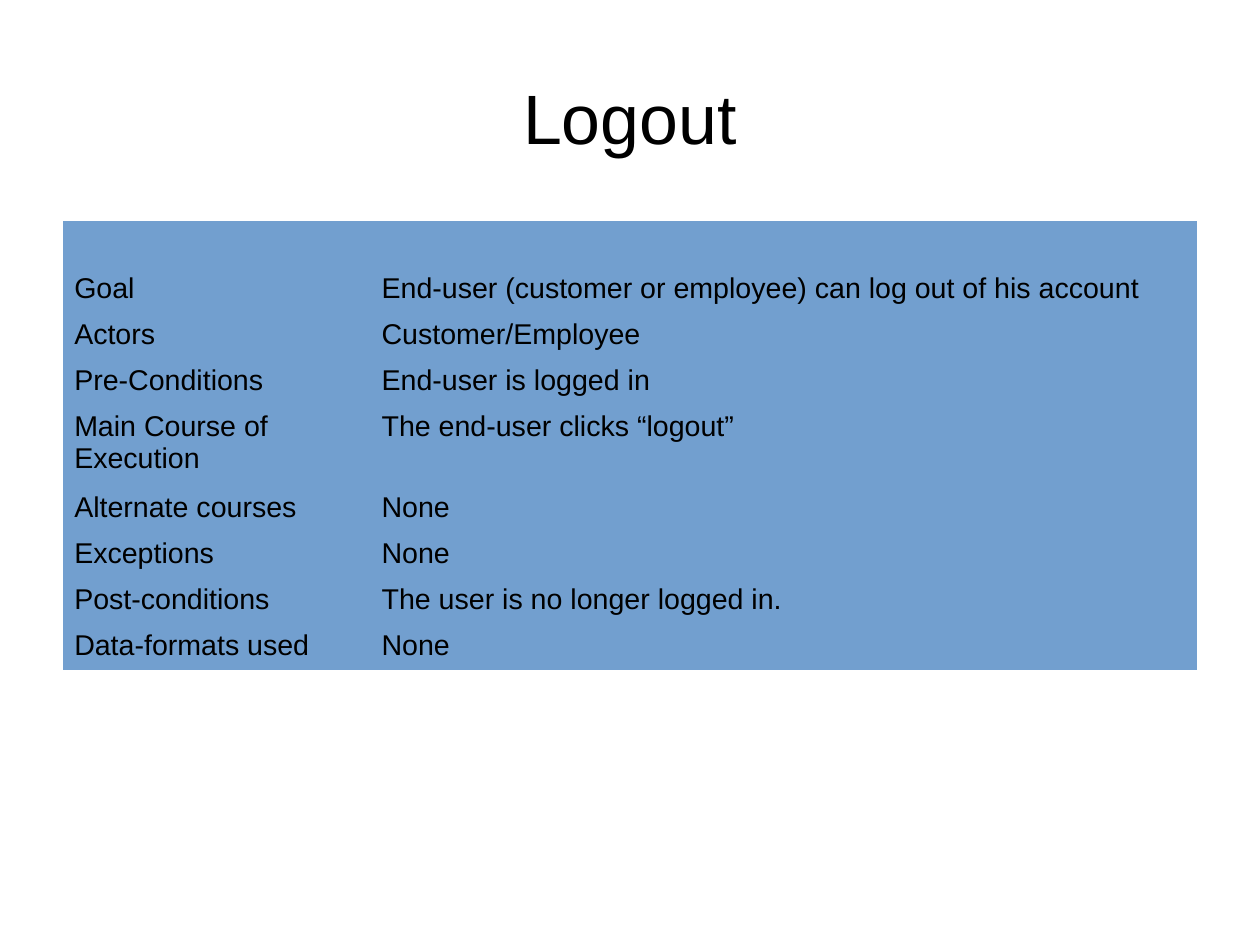
from pptx import Presentation
from pptx.dml.color import RGBColor
from pptx.enum.text import MSO_ANCHOR as Anchor, PP_ALIGN as Align
from pptx.util import Cm, Pt

TITLE = "Logout"
ROWS = [
    ("", ""),
    ("Goal", "End-user (customer or employee) can log out of his account"),
    ("Actors", "Customer/Employee"),
    ("Pre-Conditions", "End-user is logged in"),
    ("Main Course of Execution", "The end-user clicks “logout”"),
    ("Alternate courses", "None"),
    ("Exceptions", "None"),
    ("Post-conditions", "The user is no longer logged in."),
    ("Data-formats used", "None"),
]
COLS = (6.83, 18.37)
HEAD, LINE, TALL = 1.0, 1.02, 1.77
HIGH = [HEAD] + [TALL if label.startswith("Main") else LINE
                 for label, _ in ROWS[1:]]
LEFT, WIDE = 1.4, sum(COLS)


def color(code):
    """Turn a hex string into a colour."""
    return RGBColor.from_string(code)


def write(frame, text, size):
    """Put black Arial text in a frame and return its paragraph."""
    para = frame.paragraphs[0]
    para.text = text
    para.font.name = "Arial"
    para.font.size = Pt(size)
    para.font.color.rgb = color("000000")
    return para


def add_title(slide):
    """Add the centred heading."""
    box = slide.shapes.add_textbox(Cm(LEFT), Cm(0.84), Cm(WIDE), Cm(3.5))
    frame = box.text_frame
    frame.word_wrap = True
    frame.vertical_anchor = Anchor.MIDDLE
    frame.margin_left = frame.margin_right = 0
    frame.margin_top = frame.margin_bottom = 0
    write(frame, TITLE, 44).alignment = Align.CENTER


def add_grid(slide):
    """Add the use case table."""
    grid = slide.shapes.add_table(
        len(ROWS), len(COLS), Cm(LEFT), Cm(4.91), Cm(WIDE), Cm(sum(HIGH))
    ).table
    grid.first_row = grid.horz_banding = False
    for col, width in zip(grid.columns, COLS):
        col.width = Cm(width)
    for row, height, texts in zip(grid.rows, HIGH, ROWS):
        row.height = Cm(height)
        for cell, text in zip(row.cells, texts):
            cell.fill.solid()
            cell.fill.fore_color.rgb = color("729FCF")
            cell.margin_left = cell.margin_right = Cm(0.25)
            cell.margin_top = cell.margin_bottom = Cm(0.13)
            write(cell.text_frame, text, 18)
    # Plain style without grid lines
    style = grid._tbl.tblPr.find("{*}tableStyleId")
    style.text = "{2D5ABB26-0587-4C30-8999-92F81FD0307C}"


deck = Presentation()
deck.slide_width, deck.slide_height = Cm(28), Cm(21)
slide = deck.slides.add_slide(deck.slide_layouts[6])
add_title(slide)
add_grid(slide)
deck.save("out.pptx")
